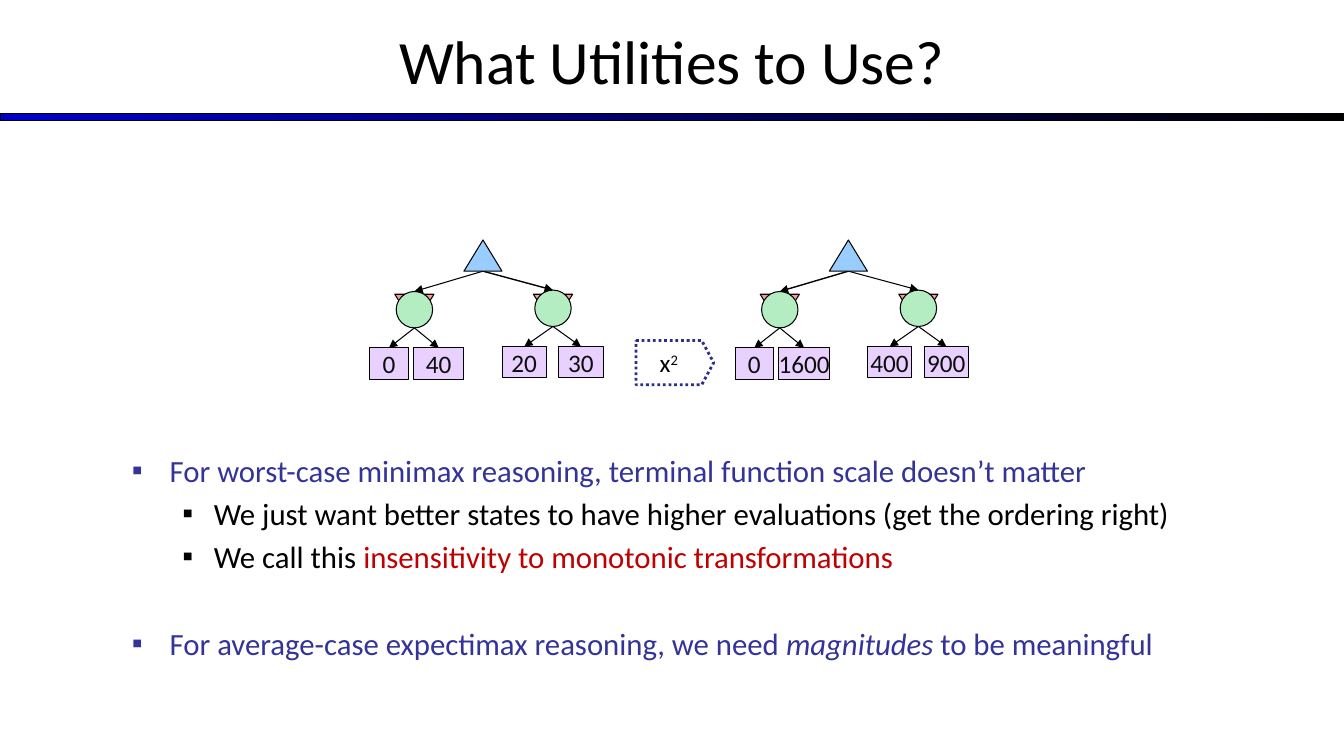
"""Build a slide comparing utilities in two game trees before and after squaring."""
from lxml import etree
from pptx import Presentation
from pptx.dml.color import RGBColor
from pptx.enum.dml import MSO_LINE
from pptx.enum.shapes import MSO_CONNECTOR, MSO_SHAPE
from pptx.enum.text import MSO_ANCHOR, MSO_AUTO_SIZE, PP_ALIGN
from pptx.oxml.ns import qn
from pptx.util import Pt

RECTANGLE, TRIANGLE = MSO_SHAPE.RECTANGLE, MSO_SHAPE.ISOSCELES_TRIANGLE
OVAL, RIGHT_ARROW = MSO_SHAPE.OVAL, MSO_SHAPE.RIGHT_ARROW
STRAIGHT, DOTTED = MSO_CONNECTOR.STRAIGHT, MSO_LINE.ROUND_DOT
CENTER, LEFT = PP_ALIGN.CENTER, PP_ALIGN.LEFT
TOP, MIDDLE, FIXED = MSO_ANCHOR.TOP, MSO_ANCHOR.MIDDLE, MSO_AUTO_SIZE.NONE
BLACK, NAVY, RED, LEAF_TEXT = "000000", "333399", "C00000", "0D0D0D"


def write_run(paragraph, text, size=18, color=BLACK, italic=False, baseline=0):
    run = paragraph.add_run()
    run.text = text
    run.font.name = "Calibri"
    run.font.size = Pt(size)
    run.font.italic = italic
    run.font.color.rgb = RGBColor.from_string(color)
    if baseline:
        run.font._element.set("baseline", str(baseline))


def add_box(kind, left, top, width, height, fill, line=BLACK, weight=0.75):
    shape = slide.shapes.add_shape(kind, Pt(left), Pt(top), Pt(width), Pt(height))
    shape.shadow.inherit = False
    shape.fill.solid()
    shape.fill.fore_color.rgb = RGBColor.from_string(fill)
    shape.line.color.rgb = RGBColor.from_string(line)
    shape.line.width = Pt(weight)
    frame = shape.text_frame
    frame.vertical_anchor = MIDDLE
    frame.paragraphs[0].alignment = CENTER
    return shape


presentation = Presentation()
presentation.slide_width, presentation.slide_height = Pt(960), Pt(540)
slide = presentation.slides.add_slide(presentation.slide_layouts[1])

bar = add_box(RECTANGLE, 0, 81.2, 960, 5.2, BLACK)
bar.fill.gradient()
bar.fill.gradient_angle = 0
for stop, color, position in zip(bar.fill.gradient_stops, ("0000CC", BLACK), (0, 1)):
    stop.color.rgb = RGBColor.from_string(color)
    stop.position = position

title, body = slide.placeholders
for placeholder, left, top, width, height, anchor in (
    (title, 0, -2, 960, 90, MIDDLE),
    (body, 87, 319, 788.5, 185, TOP),
):
    placeholder.left, placeholder.top = Pt(left), Pt(top)
    placeholder.width, placeholder.height = Pt(width), Pt(height)
    placeholder.text_frame.auto_size = FIXED
    placeholder.text_frame.word_wrap = True
    placeholder.text_frame.vertical_anchor = anchor
title.text_frame.paragraphs[0].alignment = CENTER
write_run(title.text_frame.paragraphs[0], "What Utilities to Use?", size=44)

bullets = [
    (0, 0, [("For worst-case minimax reasoning, terminal function scale doesn’t matter", NAVY, False)]),
    (1, 4.4, [("We just want better states to have higher evaluations (get the ordering right)", BLACK, False)]),
    (1, 4.4, [("We call this ", BLACK, False),
              ("insensitivity to monotonic transformations", RED, False)]),
    (0, 35.6, [("For average-case expectimax reasoning, we need ", NAVY, False),
               ("magnitudes", NAVY, True), (" to be meaningful", NAVY, False)]),
]
indents = [(27, 27), (58.5, 22.5)]
for index, (level, space, runs) in enumerate(bullets):
    frame = body.text_frame
    paragraph = frame.add_paragraph() if index else frame.paragraphs[0]
    paragraph.level = level
    paragraph.alignment = LEFT
    paragraph.space_before = Pt(space)
    margin, hanging = indents[level]
    properties = paragraph._p.get_or_add_pPr()
    properties.set("marL", str(Pt(margin)))
    properties.set("indent", str(-Pt(hanging)))
    etree.SubElement(properties, qn("a:buFont"), typeface="Arial")
    etree.SubElement(properties, qn("a:buChar"), char="▪")
    for text, color, italic in runs:
        write_run(paragraph, text, size=22, color=color, italic=italic)

root_top, root_bottom, leaf_height, chance_size = 171.4, 193.7, 22.3, 26
chance_nodes = [
    (-49, 208.2, 248.5, [(-67.2, 27.4), (-31.6, 36)]),
    (50, 207.2, 247.6, [(29.5, 31.7), (70, 31.7)]),
]
trees = [
    (345, 1, [["0", "40"], ["20", "30"]]),
    (606, 0, [["0", "1600"], ["400", "900"]]),
]
for root, heavy_side, values in trees:
    arrows = []
    for side, (offset, chance_top, leaf_top, leaves) in enumerate(chance_nodes):
        center, chance_bottom = root + offset, chance_top + chance_size
        minimum = add_box(TRIANGLE, center - 14, 210.2, 28, 22.3, "FF9999")
        minimum.rotation = 180
        add_box(OVAL, center - chance_size / 2, chance_top, chance_size, chance_size, "B5EDC2")
        arrows.append((root, root_bottom, center, chance_top, 1 if side == heavy_side else 0.75))
        for (leaf_offset, width), value in zip(leaves, values[side]):
            leaf_center = root + leaf_offset
            leaf = add_box(RECTANGLE, leaf_center - width / 2, leaf_top, width, leaf_height, "E8D1FF")
            leaf.text_frame.word_wrap = False
            write_run(leaf.text_frame.paragraphs[0], value, color=LEAF_TEXT)
            arrows.append((center, chance_bottom, leaf_center, leaf_top, 0.75))
    for start_x, start_y, end_x, end_y, weight in arrows:
        arrow = slide.shapes.add_connector(STRAIGHT, Pt(start_x), Pt(start_y), Pt(end_x), Pt(end_y))
        arrow.line.color.rgb = RGBColor.from_string(BLACK)
        arrow.line.width = Pt(weight)
        etree.SubElement(arrow.line._get_or_add_ln(), qn("a:tailEnd"), type="triangle")
        etree.SubElement(arrow._element.spPr, qn("a:effectLst"))
    add_box(TRIANGLE, root - 13.6, root_top, 27.2, root_bottom - root_top, "99CCFF")

square = add_box(RIGHT_ARROW, 454.3, 243.2, 55.5, 31.7, "FFFFFF", line="2D2D8A", weight=2)
square.adjustments[0], square.adjustments[1] = 1, 0.27
square.line.dash_style = DOTTED
write_run(square.text_frame.paragraphs[0], "x")
write_run(square.text_frame.paragraphs[0], "2", baseline=30000)

presentation.save("out.pptx")
